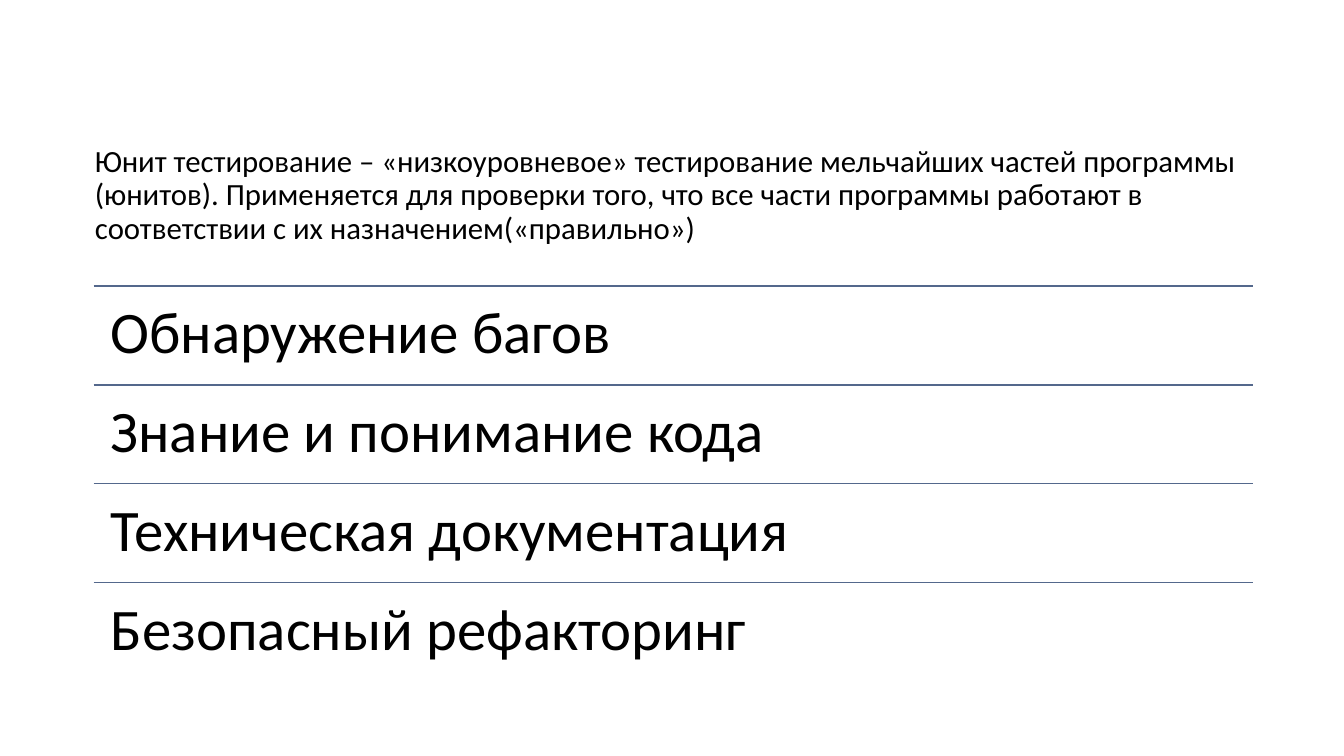
from lxml import etree
from pptx import Presentation
from pptx import util as u
from pptx.dml.color import RGBColor
from pptx.enum import shapes, text
from pptx.oxml import ns

# Content
INTRO = ("Юнит тестирование – «низкоуровневое» тестирование мельчайших частей "
         "программы (юнитов). Применяется для проверки того, что все части "
         "программы работают в соответствии с их назначением(«правильно»)")
BENEFITS = ["Обнаружение багов", "Знание и понимание кода",
            "Техническая документация", "Безопасный рефакторинг"]

# Style and layout, in centimetres
BLACK = RGBColor(0x00, 0x00, 0x00)
RULE = RGBColor(0x54, 0x68, 0x8C)
FONT = "Calibri"
INTRO_LEFT, INTRO_TOP, INTRO_HEIGHT = 2.39, 3.1, 3.68
LEFT, TOP, WIDTH, ROW = 2.36, 7.21, 29.21, 2.49
INSET = 0.43


def add_text(s, content, left, top, height, size, inset, anchor):
    sp = s.shapes.add_textbox(u.Cm(left), u.Cm(top), u.Cm(WIDTH), u.Cm(height))
    tf = sp.text_frame
    tf.word_wrap = True
    tf.vertical_anchor = anchor
    tf.margin_left = tf.margin_right = u.Cm(inset)
    tf.margin_top = tf.margin_bottom = u.Cm(inset)
    p = tf.paragraphs[0]
    p.text = content
    p.line_spacing = 0.9
    p.font.name = FONT
    p.font.size = u.Pt(size)
    p.font.color.rgb = BLACK


def add_rule(s, top):
    line = s.shapes.add_connector(shapes.MSO_CONNECTOR.STRAIGHT, u.Cm(LEFT),
                                  u.Cm(top), u.Cm(LEFT + WIDTH), u.Cm(top))
    line.line.color.rgb = RULE
    line.line.width = u.Pt(1)
    etree.SubElement(line._element.spPr, ns.qn("a:effectLst"))


def main():
    prs = Presentation()
    prs.slide_width, prs.slide_height = u.Cm(33.87), u.Cm(19.05)
    s = prs.slides.add_slide(prs.slide_layouts[6])

    # Definition
    add_text(s, INTRO, INTRO_LEFT, INTRO_TOP, INTRO_HEIGHT, 22, 0,
             text.MSO_ANCHOR.MIDDLE)

    # Ruled list of benefits
    for i, benefit in enumerate(BENEFITS):
        top = TOP + i * ROW
        add_rule(s, top)
        add_text(s, benefit, LEFT, top, ROW, 42, INSET, text.MSO_ANCHOR.TOP)

    prs.save("out.pptx")


if __name__ == "__main__":
    main()
